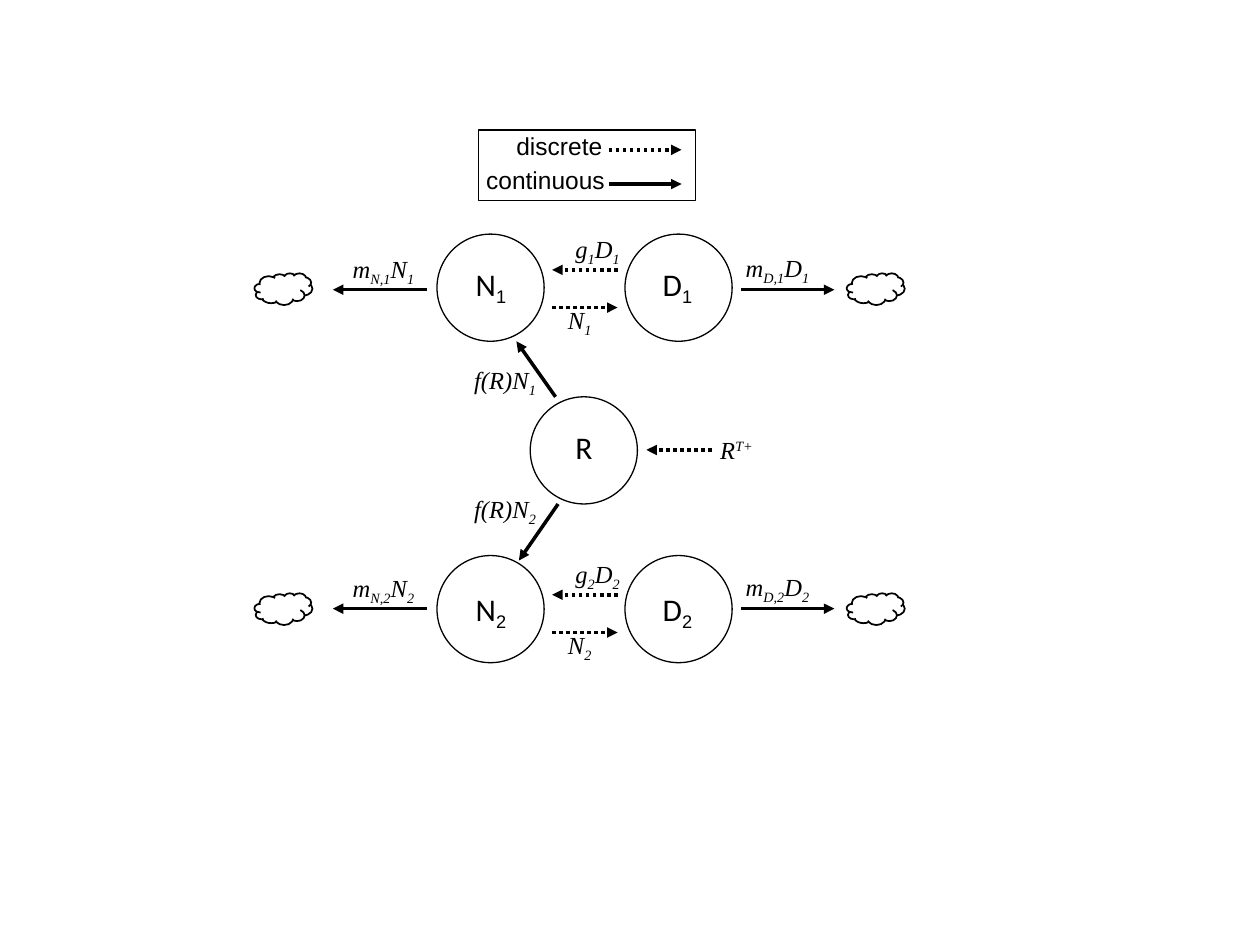
"""Draw a stock-and-flow diagram of two populations sharing one resource."""
from dataclasses import dataclass

import pptx
import pptx.dml.color
import pptx.enum.dml
import pptx.enum.shapes
import pptx.enum.text
import pptx.oxml
import pptx.oxml.ns
import pptx.util

Cm = pptx.util.Cm
Pt = pptx.util.Pt
Kind = pptx.enum.shapes.MSO_SHAPE


@dataclass(frozen=True)
class Theme:
    ink: pptx.dml.color.RGBColor = pptx.dml.color.RGBColor(0, 0, 0)
    paper: pptx.dml.color.RGBColor = pptx.dml.color.RGBColor(255, 255, 255)
    stock_size: int = 18
    flow_size: int = 14
    outline: float = 0.75
    cloud_outline: float = 1
    arrow: float = 2
    stock_font: str = "Calibri"
    plain_font: str = "Arial"
    flow_font: str = "Times New Roman"


@dataclass(frozen=True)
class Outline:
    kind: Kind
    left: float
    top: float
    width: float
    height: float
    shift: float = 0


@dataclass(frozen=True)
class Flow:
    x1: float
    y1: float
    x2: float
    y2: float
    discrete: bool = False
    shift: float = 0


@dataclass(frozen=True)
class Label:
    symbols: tuple[str, ...]
    left: float
    top: float
    width: float
    font: str
    size: int
    script_font: str
    italic: bool = False
    script_base: int = -25000
    shift: float = 0


THEME = Theme()
DIAMETER = 2.16
STOCK_SHIFT, OUTER_SHIFT, EXCHANGE_SHIFT, CLOUD_SHIFT = 6.48, 6.43, 6.55, 6.45


def stock_label(symbols: tuple[str, ...], left: float, top: float, width: float, shift: float = 0) -> Label:
    return Label(symbols, left, top, width, THEME.stock_font, THEME.stock_size, THEME.plain_font, shift=shift)


def flow_label(symbols: tuple[str, ...], left: float, top: float, width: float,
               shift: float = 0, script_base: int = -25000) -> Label:
    return Label(symbols, left, top, width, THEME.flow_font, THEME.flow_size, THEME.flow_font,
                 True, script_base, shift)


def legend_label(text: str, left: float, top: float, width: float) -> Label:
    return Label((text,), left, top, width, THEME.plain_font, THEME.flow_size, THEME.plain_font)


def draw_outline(shapes, outline: Outline, row: int = 0) -> None:
    drawn = shapes.add_shape(outline.kind, Cm(outline.left), Cm(outline.top + row * outline.shift),
                             Cm(outline.width), Cm(outline.height))
    drawn.shadow.inherit = False
    drawn.line.color.rgb = THEME.ink
    if outline.kind == Kind.CLOUD:
        drawn.fill.solid()
        drawn.fill.fore_color.rgb = THEME.paper
        drawn.line.width = Pt(THEME.cloud_outline)
    else:
        drawn.fill.background()
        drawn.line.width = Pt(THEME.outline)


def draw_flow(shapes, flow: Flow, row: int = 0) -> None:
    down = row * flow.shift
    arrow = shapes.add_connector(pptx.enum.shapes.MSO_CONNECTOR.STRAIGHT, Cm(flow.x1), Cm(flow.y1 + down),
                                 Cm(flow.x2), Cm(flow.y2 + down))
    arrow.line.color.rgb = THEME.ink
    arrow.line.width = Pt(THEME.arrow)
    if flow.discrete:
        arrow.line.dash_style = pptx.enum.dml.MSO_LINE.ROUND_DOT
    properties = arrow._element.spPr
    head = pptx.oxml.parse_xml(f'<a:tailEnd {pptx.oxml.ns.nsdecls("a")} type="triangle"/>')
    properties.find(pptx.oxml.ns.qn("a:ln")).append(head)
    properties.append(pptx.oxml.parse_xml(f'<a:effectLst {pptx.oxml.ns.nsdecls("a")}/>'))


def draw_label(shapes, label: Label, row: int = 0) -> None:
    height = 1.02 if label.size == THEME.stock_size else 0.86
    frame = shapes.add_textbox(Cm(label.left), Cm(label.top + row * label.shift),
                               Cm(label.width), Cm(height)).text_frame
    frame.word_wrap = False
    frame.auto_size = pptx.enum.text.MSO_AUTO_SIZE.SHAPE_TO_FIT_TEXT
    for index, symbol in enumerate(label.symbols):
        run = frame.paragraphs[0].add_run()
        run.text = symbol.format(row + 1)
        run.font.size = Pt(label.size)
        run.font.italic = label.italic
        run.font.color.rgb = THEME.ink
        run.font.name = label.script_font if index % 2 else label.font
        if index % 2:
            run.font._element.set("baseline", str(label.script_base))


POPULATION = (
    *(Outline(Kind.OVAL, left, 4.72, DIAMETER, DIAMETER, STOCK_SHIFT) for left in (8.81, 12.6)),
    *(Outline(Kind.CLOUD, left, 5.51, 1.17, 0.64, CLOUD_SHIFT) for left in (5.13, 17.07)),
    Flow(11.13, 6.2, 12.45, 6.2, True, EXCHANGE_SHIFT),
    Flow(12.45, 5.44, 11.13, 5.44, True, EXCHANGE_SHIFT),
    Flow(8.61, 5.84, 6.71, 5.84, shift=OUTER_SHIFT),
    Flow(14.94, 5.84, 16.82, 5.84, shift=OUTER_SHIFT),
    stock_label(("N", "{}"), 9.34, 5.21, 1.17, EXCHANGE_SHIFT),
    stock_label(("D", "{}"), 13.11, 5.21, 1.14, EXCHANGE_SHIFT),
    flow_label(("m", "N,{}", "N", "{}"), 6.86, 5, 1.98, OUTER_SHIFT),
    flow_label(("m", "D,{}", "D", "{}"), 14.78, 4.98, 2.03, OUTER_SHIFT),
    flow_label(("N", "{}"), 11.2, 6.02, 1.17, EXCHANGE_SHIFT),
    flow_label(("g", "{}", "D", "{}"), 11.35, 4.6, 1.6, EXCHANGE_SHIFT),
    flow_label(("f(R)N", "{}"), 9.31, 7.24, 1.93, 2.59),
)

RESOURCE = (
    Outline(Kind.OVAL, 10.69, 8, DIAMETER, DIAMETER),
    Flow(11.2, 8, 10.41, 6.88),
    Flow(11.25, 10.16, 10.46, 11.3),
    Flow(14.35, 9.07, 13.03, 9.07, True),
    stock_label(("R",), 11.35, 8.51, 0.86),
    flow_label(("R", "T+"), 14.27, 8.64, 1.35, script_base=30000),
)

LEGEND = (
    Outline(Kind.RECTANGLE, 9.65, 2.62, 4.37, 1.42),
    Flow(12.27, 3.02, 13.74, 3.02, True),
    Flow(12.27, 3.71, 13.74, 3.71),
    legend_label("discrete", 10.16, 2.51, 2.26),
    legend_label("continuous", 9.55, 3.2, 2.92),
)

DRAW = {Outline: draw_outline, Flow: draw_flow, Label: draw_label}


def main() -> None:
    deck = pptx.Presentation()
    deck.slide_width, deck.slide_height = Cm(25.4), Cm(19.05)
    shapes = deck.slides.add_slide(deck.slide_layouts[6]).shapes
    for row in range(2):
        for element in POPULATION:
            DRAW[type(element)](shapes, element, row)
    for element in RESOURCE + LEGEND:
        DRAW[type(element)](shapes, element)
    deck.save("out.pptx")


main()
